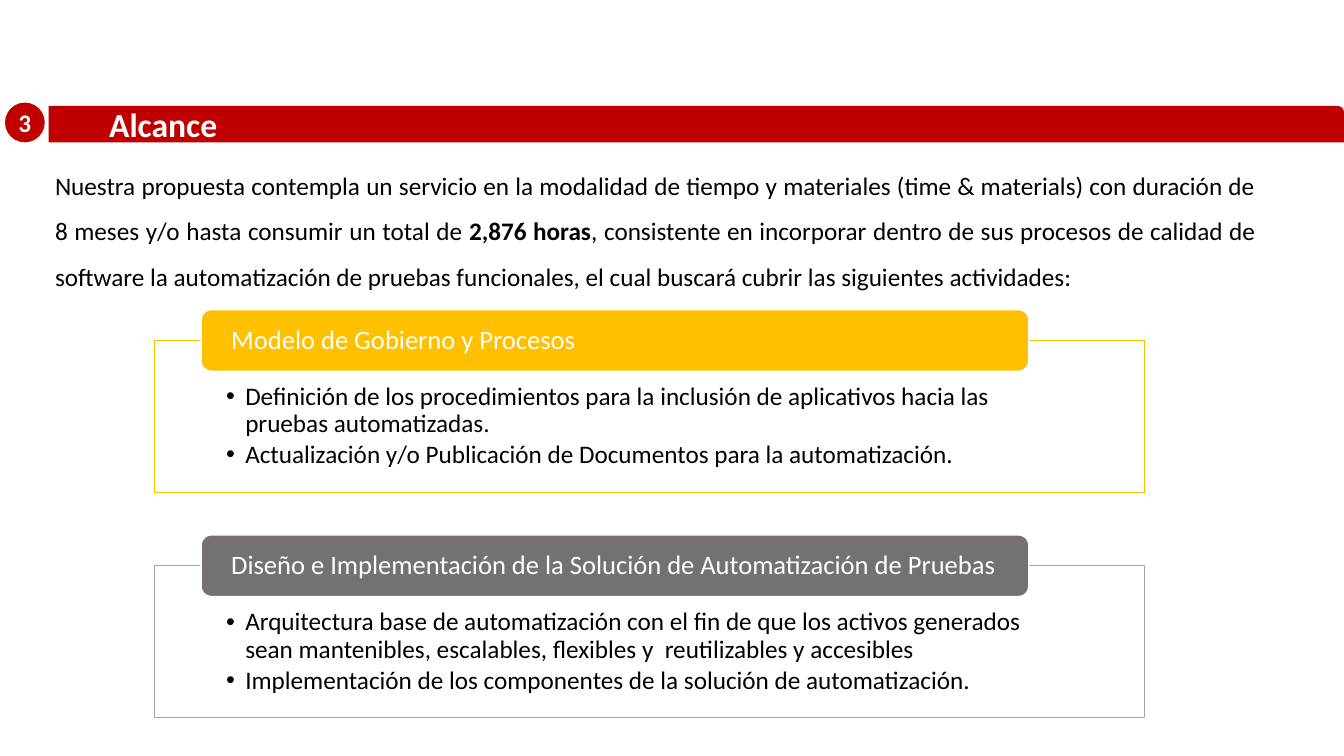
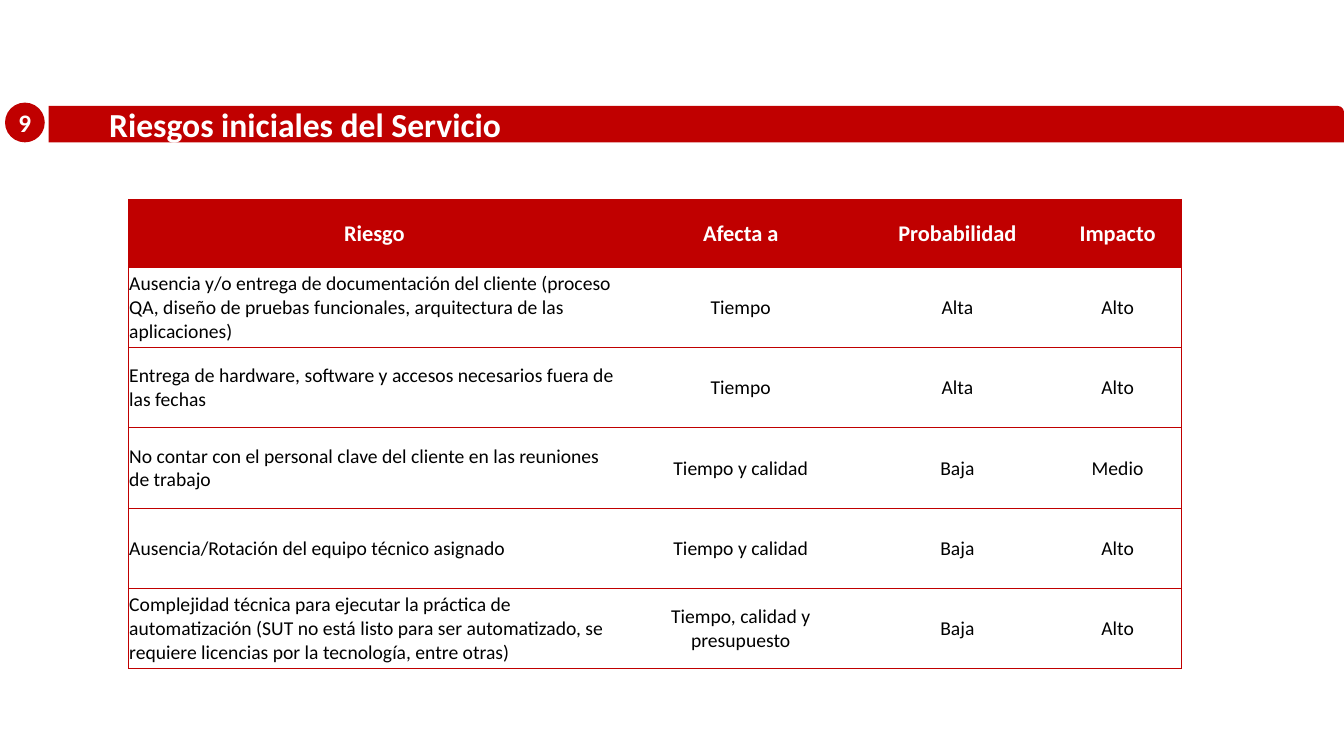
from lxml.etree import SubElement
from pptx import Presentation
from pptx.dml.color import RGBColor
from pptx.enum.shapes import MSO_SHAPE
from pptx.enum.text import MSO_ANCHOR, MSO_AUTO_SIZE, PP_ALIGN
from pptx.oxml.ns import qn
from pptx.util import Pt

FONT = "Calibri"
RED, YELLOW, GRAY, SILVER = "C00000", "FFC000", "767171", "A5A5A5"
WHITE, BLACK = "FFFFFF", "000000"

INTRO = [
    ("Nuestra propuesta contempla un servicio en la modalidad de tiempo y materiales "
     "(time & materials) con duración de 8 meses y/o hasta consumir un total de ", False),
    ("2,876 horas", True),
    (", consistente en incorporar dentro de sus procesos de calidad de software la "
     "automatización de pruebas funcionales, el cual buscará cubrir las siguientes "
     "actividades:", False),
]
ACTIVITIES = [
    ("Modelo de Gobierno y Procesos", YELLOW, YELLOW, [
        "Definición de los procedimientos para la inclusión de aplicativos hacia las "
        "pruebas automatizadas.",
        "Actualización y/o Publicación de Documentos para la automatización.",
    ]),
    ("Diseño e Implementación de la Solución de Automatización de Pruebas", GRAY, SILVER, [
        "Arquitectura base de automatización con el fin de que los activos generados "
        "sean mantenibles, escalables, flexibles y  reutilizables y accesibles",
        "Implementación de los componentes de la solución de automatización.",
    ]),
]
RISKS = [
    ("Riesgo", "Afecta a", "Probabilidad", "Impacto"),
    ("Ausencia y/o entrega de documentación del cliente (proceso QA, diseño de pruebas "
     "funcionales, arquitectura de las aplicaciones)", "Tiempo", "Alta", "Alto"),
    ("Entrega de hardware, software y accesos necesarios fuera de las fechas",
     "Tiempo", "Alta", "Alto"),
    ("No contar con el personal clave del cliente en las reuniones de trabajo",
     "Tiempo y calidad", "Baja", "Medio"),
    ("Ausencia/Rotación del equipo técnico asignado", "Tiempo y calidad", "Baja", "Alto"),
    ("Complejidad técnica para ejecutar la práctica de automatización (SUT no está listo "
     "para ser automatizado, se requiere licencias por la tecnología, entre otras)",
     "Tiempo, calidad y presupuesto", "Baja", "Alto"),
]


def color(code):
    return RGBColor.from_string(code)


def place(part, box):
    part.left, part.top, part.width, part.height = (Pt(length) for length in box)


def paint(part, fill, line=None):
    part.fill.solid()
    part.fill.fore_color.rgb = color(fill)
    if line:
        part.line.color.rgb = color(line)
        part.line.width = Pt(1)
    else:
        part.line.fill.background()


def add_panel(slide, preset, box, fill, line=None):
    panel = slide.shapes.add_shape(preset, *(Pt(length) for length in box))
    panel.shadow.inherit = False
    paint(panel, fill, line)
    return panel


def set_frame(part, margins, anchor):
    frame = part.text_frame
    frame.auto_size = MSO_AUTO_SIZE.NONE
    frame.word_wrap = True
    frame.vertical_anchor = anchor
    (frame.margin_left, frame.margin_top,
     frame.margin_right, frame.margin_bottom) = (Pt(margin) for margin in margins)
    return frame


def write(paragraph, text, size, code, bold=False):
    run = paragraph.add_run()
    run.text = text
    run.font.name = FONT
    run.font.size = Pt(size)
    run.font.bold = bold
    run.font.color.rgb = color(code)


def heading(slide, number, text, box):
    left, top, width, height = box
    title = slide.shapes.title
    place(title, box)
    band = add_panel(slide, MSO_SHAPE.ROUND_1_RECTANGLE, box, RED)
    title.element.addprevious(band.element)
    line = set_frame(title, (43.2, 3.6, 7.2, 3.6), MSO_ANCHOR.MIDDLE).paragraphs[0]
    line.alignment = PP_ALIGN.LEFT
    write(line, text, 24, WHITE, True)

    badge = add_panel(slide, MSO_SHAPE.OVAL, (left - 31.2, top - 2.4, 28.4, 28.4), RED)
    digit = set_frame(badge, (0, 0, 0, 0), MSO_ANCHOR.MIDDLE).paragraphs[0]
    digit.alignment = PP_ALIGN.CENTER
    write(digit, number, 18, WHITE, True)


def introduction(slide, box):
    summary = slide.shapes.add_textbox(*(Pt(length) for length in box))
    paragraph = set_frame(summary, (7.2, 3.6, 7.2, 3.6), MSO_ANCHOR.TOP).paragraphs[0]
    paragraph.alignment = PP_ALIGN.JUSTIFY
    paragraph.line_spacing = 1.5
    for text, bold in INTRO:
        write(paragraph, text, 18, BLACK, bold)


def activity(slide, tasks, box, name, fill, line, items):
    left, top, width, height = box
    place(tasks, box)
    paint(tasks, WHITE, line)
    frame = set_frame(tasks, (51, 31, 51, 11), MSO_ANCHOR.TOP)
    for index, item in enumerate(items):
        paragraph = frame.add_paragraph() if index else frame.paragraphs[0]
        properties = paragraph._p.get_or_add_pPr()
        properties.set("marL", str(Pt(13.7)))
        properties.set("indent", str(-Pt(13.7)))
        paragraph.line_spacing = 0.9
        paragraph.space_before = Pt(0)
        paragraph.space_after = Pt(2.7)
        write(paragraph, item, 18, BLACK)

    tab = add_panel(slide, MSO_SHAPE.ROUNDED_RECTANGLE,
                    (left + 33.2, top - 22, 591.2, 44), fill, WHITE)
    label = set_frame(tab, (19.4, 2.2, 19.4, 2.2), MSO_ANCHOR.MIDDLE).paragraphs[0]
    label.alignment = PP_ALIGN.LEFT
    label.line_spacing = 0.9
    write(label, name, 19, WHITE)


def set_borders(cell, visible):
    properties = cell._tc.get_or_add_tcPr()
    for side in "LRTB":
        edge = SubElement(properties, qn(f"a:ln{side}"), w=str(Pt(0.5)))
        if side in visible:
            SubElement(SubElement(edge, qn("a:solidFill")), qn("a:srgbClr"), val=RED)
        else:
            SubElement(edge, qn("a:noFill"))


def risk_table(slide, box):
    widths = (351.4, 172.1, 137.4, 91.5)
    table = slide.shapes.add_table(len(RISKS), len(widths),
                                   *(Pt(length) for length in box)).table
    table.horz_banding = False
    for column, width in zip(table.columns, widths):
        column.width = Pt(width)
    header_height = 48.5
    row_height = (box[3] - header_height) / (len(RISKS) - 1)
    for row, values in enumerate(RISKS):
        table.rows[row].height = Pt(row_height if row else header_height)
        for column, value in enumerate(values):
            cell = table.cell(row, column)
            sides = "TB" + ("L" if column == 0 else "")
            sides += "R" if column == len(widths) - 1 else ""
            set_borders(cell, sides)
            cell.vertical_anchor = MSO_ANCHOR.MIDDLE
            cell.margin_left = cell.margin_right = cell.margin_top = Pt(0.6)
            cell.margin_bottom = Pt(0)
            if row:
                cell.fill.background()
            else:
                cell.fill.solid()
                cell.fill.fore_color.rgb = color(RED)
            paragraph = cell.text_frame.paragraphs[0]
            paragraph.alignment = PP_ALIGN.LEFT if row and column == 0 else PP_ALIGN.CENTER
            write(paragraph, value, 14 if row else 16, BLACK if row else WHITE, not row)


def main():
    deck = Presentation()
    deck.slide_width, deck.slide_height = Pt(960), Pt(540)
    band_box = (34.8, 75.7, 925.2, 26)

    scope = deck.slides.add_slide(deck.slide_layouts.get_by_name("Two Content"))
    heading(scope, "3", "Alcance", band_box)
    introduction(scope, (32.2, 107.3, 871.8, 102.2))
    for index, details in enumerate(ACTIVITIES):
        activity(scope, scope.placeholders[index + 1],
                 (110.5, 243.2 + 160.9 * index, 707.2, 108.4), *details)

    risks = deck.slides.add_slide(deck.slide_layouts.get_by_name("Title Only"))
    heading(risks, "9", "Riesgos iniciales del Servicio", band_box)
    risk_table(risks, (91.7, 142.3, 752.4, 335.5))

    deck.save("out.pptx")


if __name__ == "__main__":
    main()
